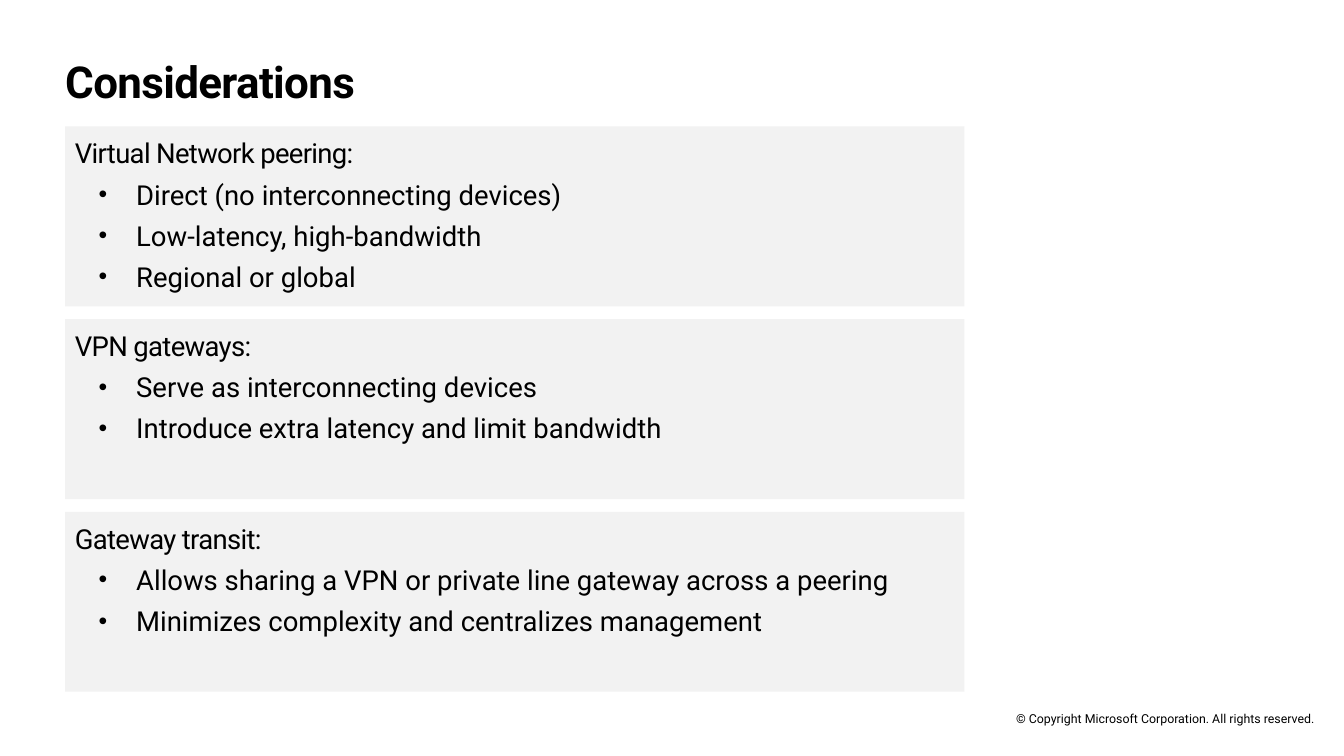
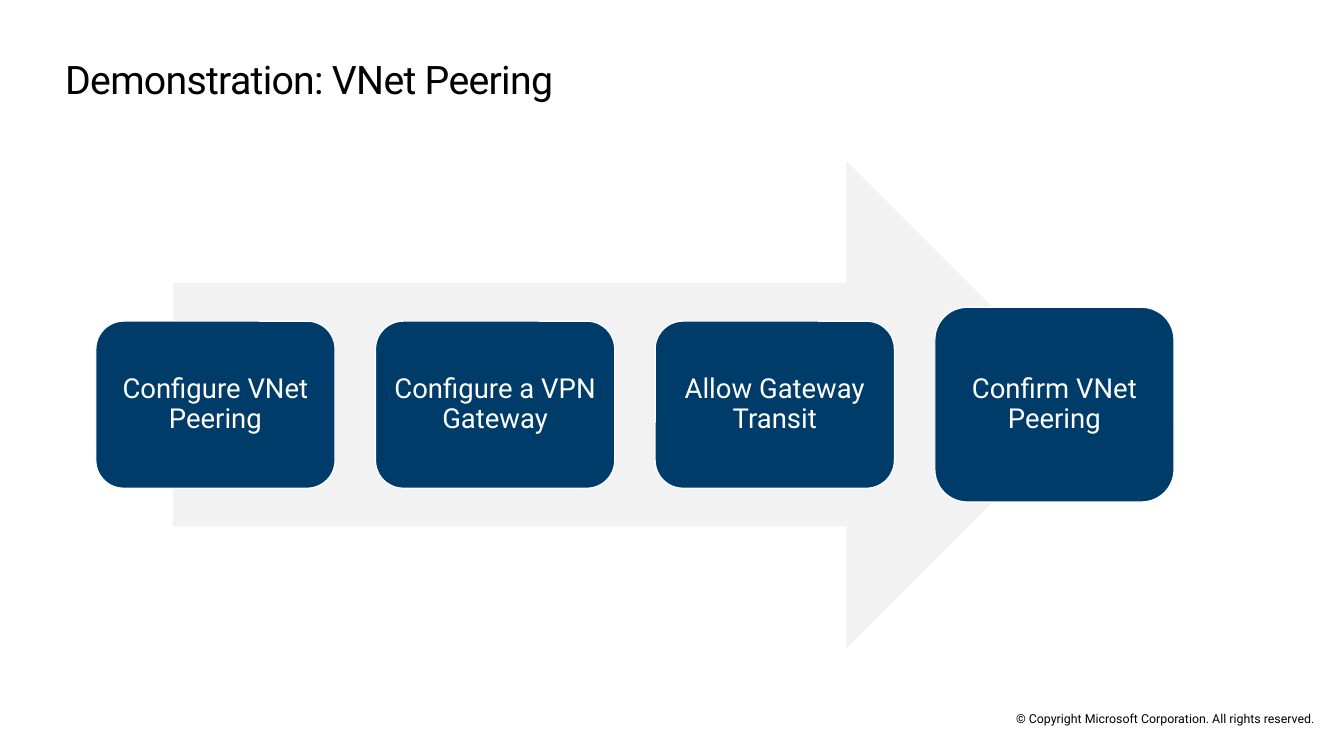
from lxml.etree import SubElement
from pptx import Presentation
from pptx.dml.color import RGBColor
from pptx.enum.shapes import MSO_SHAPE as SHAPE
from pptx.enum.text import MSO_ANCHOR as ANCHOR, MSO_AUTO_SIZE as AUTO_SIZE, PP_ALIGN as ALIGN
from pptx.oxml.ns import qn
from pptx.util import Pt

# Shared style
PX = 9144  # 100 px to the inch
FONT = "Roboto"
BLACK = RGBColor(0x00, 0x00, 0x00)
WHITE = RGBColor(0xFF, 0xFF, 0xFF)
GRAY = RGBColor(0xF2, 0xF2, 0xF2)
NAVY = RGBColor(0x00, 0x3C, 0x6A)
TITLE_ONLY = 5
LEFT = 66
TIGHT = -50  # hundredths of a point
FOOTER = "© Copyright Microsoft Corporation. All rights reserved."

# Slide content
PANELS = [
    ("Virtual Network peering:",
     ["Direct (no interconnecting devices)", "Low-latency, high-bandwidth",
      "Regional or global"]),
    ("VPN gateways:",
     ["Serve as interconnecting devices",
      "Introduce extra latency and limit bandwidth"]),
    ("Gateway transit:",
     ["Allows sharing a VPN or private line gateway across a peering",
      "Minimizes complexity and centralizes management"]),
]
STEPS = [("Configure VNet Peering", 169), ("Configure a VPN Gateway", 169),
         ("Allow Gateway Transit", 169), ("Confirm VNet Peering", 197)]


def box(*lengths):
    return [length * PX for length in lengths]


def set_frame(tf, anchor, insets):
    tf.word_wrap = True
    tf.auto_size = AUTO_SIZE.NONE
    tf.vertical_anchor = anchor
    tf.margin_left, tf.margin_top, tf.margin_right, tf.margin_bottom = box(*insets)


def write(p, text, size, color=BLACK, align=ALIGN.LEFT, bold=False, spacing=0):
    p.text = text
    p.alignment = align
    for r in p.runs:
        r.font.name = FONT
        r.font.size = Pt(size)
        r.font.bold = bold
        r.font.color.rgb = color
        r.font._element.set("spc", str(spacing))


def add_bullet(p):
    p.level = 1
    pPr = p._p.get_or_add_pPr()
    pPr.set("marL", str(62 * PX))
    pPr.set("indent", str(-38 * PX))
    SubElement(pPr, qn("a:buSzPct")).set("val", "90000")
    SubElement(pPr, qn("a:buFont")).set("typeface", "Arial")
    SubElement(pPr, qn("a:buChar")).set("char", "•")


def add_block(s, kind, place, fill, line=None):
    sp = s.shapes.add_shape(kind, *box(*place))
    sp.shadow.inherit = False
    sp.fill.solid()
    sp.fill.fore_color.rgb = fill
    if line is None:
        sp.line.fill.background()
    else:
        sp.line.color.rgb = line
        sp.line.width = Pt(0.85)
    return sp


def add_slide(prs, title, size, bold=False):
    s = prs.slides.add_slide(prs.slide_layouts[TITLE_ONLY])
    # Footer
    tf = s.shapes.add_textbox(*box(998, 720, 362, 15)).text_frame
    set_frame(tf, ANCHOR.MIDDLE, (0, 0, 0, 0))
    write(tf.paragraphs[0], FOOTER, 9, align=ALIGN.CENTER)
    # Title
    sp = s.shapes.title
    sp.left, sp.top, sp.width, sp.height = box(LEFT, 51, 1229, 48)
    set_frame(sp.text_frame, ANCHOR.TOP, (0, 10, 16, 10))
    p = sp.text_frame.paragraphs[0]
    write(p, title, size, bold=bold, spacing=TIGHT)
    p.line_spacing = 0.9
    return s


def add_panel(s, top, heading, bullets):
    tf = add_block(s, SHAPE.RECTANGLE, (LEFT, top, 910, 182), GRAY).text_frame
    set_frame(tf, ANCHOR.TOP, (10, 10, 16, 10))
    p = tf.paragraphs[0]
    write(p, heading, 20, spacing=TIGHT)
    p.space_after = Pt(6)
    for text in bullets:
        p = tf.add_paragraph()
        add_bullet(p)
        write(p, text, 20)
        p.space_after = Pt(6)


def add_step(s, left, middle, height, text):
    place = (left, middle - height // 2, 242, height)
    tf = add_block(s, SHAPE.ROUNDED_RECTANGLE, place, NAVY, WHITE).text_frame
    set_frame(tf, ANCHOR.MIDDLE, (8, 8, 8, 8))
    p = tf.paragraphs[0]
    write(p, text, 20, WHITE, ALIGN.CENTER)
    p.line_spacing = 0.9


def main():
    prs = Presentation()
    prs.slide_width, prs.slide_height = box(1360, 765)

    # Considerations: three stacked panels
    s = add_slide(prs, "Considerations", 32, bold=True)
    for i, (heading, bullets) in enumerate(PANELS):
        add_panel(s, 128 + 195 * i, heading, bullets)

    # Demonstration: steps along an arrow
    s = add_slide(prs, "Demonstration: VNet Peering", 28.6)
    add_block(s, SHAPE.RIGHT_ARROW, (175, 163, 928, 493), GRAY)
    for i, (text, height) in enumerate(STEPS):
        add_step(s, 97 + 283 * i, 409, height, text)

    prs.save("out.pptx")


if __name__ == "__main__":
    main()
